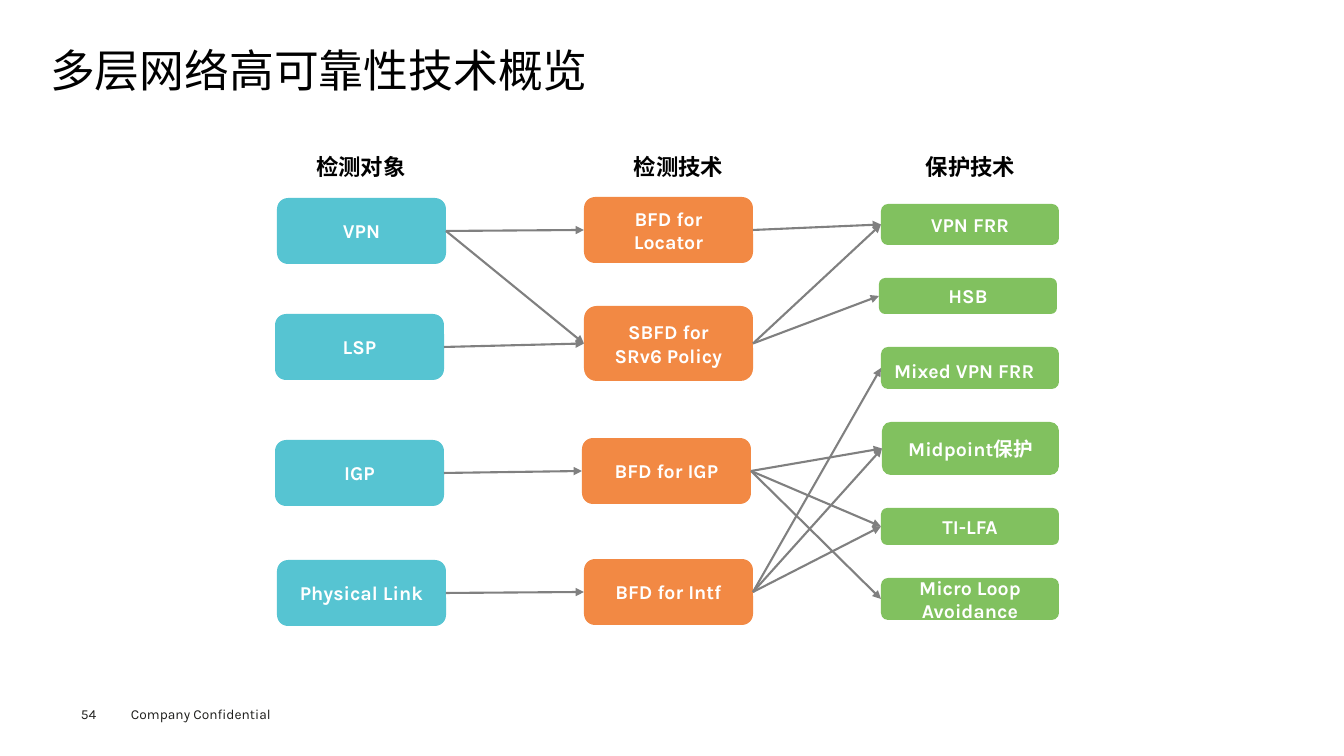
from dataclasses import dataclass

from lxml.etree import SubElement
from pptx import Presentation
from pptx.dml.color import RGBColor
from pptx.enum.shapes import MSO_CONNECTOR, MSO_SHAPE
from pptx.enum.text import MSO_ANCHOR, MSO_AUTO_SIZE, PP_ALIGN
from pptx.oxml.ns import qn
from pptx.util import Pt

# Content
TITLE = "多层网络高可靠性技术概览"
PAGE_NUMBER = "54"
CONFIDENTIALITY = "Company Confidential"

# Column headings: text, left, width
HEADINGS = [("检测对象", 305, 112), ("检测技术", 582, 193), ("保护技术", 898, 145)]

# Boxes of each column: text, (left, top, width, height)
TARGETS = [
    ("VPN", (277, 198, 169, 66)),
    ("LSP", (275, 314, 169, 66)),
    ("IGP", (275, 440, 169, 66)),
    ("Physical Link", (277, 560, 169, 66)),
]
DETECTIONS = [
    ("BFD for Locator", (584, 197, 169, 66)),
    ("SBFD for\nSRv6 Policy", (584, 306, 169, 75)),
    ("BFD for IGP", (582, 438, 169, 66)),
    ("BFD for Intf", (584, 559, 169, 66)),
]
PROTECTIONS = [
    ("VPN FRR", (881, 204, 178, 41)),
    ("HSB", (879, 278, 178, 36)),
    ("Mixed VPN FRR", (881, 347, 178, 42)),
    ("Midpoint保护", (882, 422, 177, 53)),
    ("TI-LFA", (881, 508, 178, 37)),
    ("Micro Loop\nAvoidance", (881, 578, 178, 42)),
]
LEFT_ALIGNED = {"Mixed VPN FRR": dict(align=PP_ALIGN.LEFT, spacing=1.2)}

# Arrows: row in one column -> rows in the next
TARGET_LINKS = {0: [0, 1], 1: [1], 2: [2], 3: [3]}
DETECTION_LINKS = {0: [0], 1: [0, 1], 2: [3, 4, 5], 3: [2, 3, 4]}


@dataclass(frozen=True)
class Theme:
    font: str = "Karla"
    black: str = "000000"
    white: str = "FFFFFF"
    footer: str = "1D1D1B"
    target: str = "56C4D2"
    detection: str = "F28944"
    protection: str = "81C15F"
    arrow: str = "808080"
    title_size: float = 32
    heading_size: float = 16
    box_size: float = 14
    footer_size: float = 9.8
    arrow_width: float = 1.5


THEME = Theme()
PX = 914400 / 100.8
LEFT_SIDE, RIGHT_SIDE = 1, 3


def px(*lengths):
    return [round(length * PX) for length in lengths]


def write(frame, text, *, size, color, bold=False, align=PP_ALIGN.LEFT,
          anchor=MSO_ANCHOR.TOP, spacing=None, insets=(10, 5), wrap=True):
    frame.text = text
    frame.word_wrap = wrap
    frame.auto_size = MSO_AUTO_SIZE.NONE
    frame.vertical_anchor = anchor
    frame.margin_left = frame.margin_right = px(insets[0])[0]
    frame.margin_top = frame.margin_bottom = px(insets[1])[0]
    for paragraph in frame.paragraphs:
        paragraph.alignment = align
        paragraph.line_spacing = spacing
        for run in paragraph.runs:
            run.font.name = THEME.font
            run.font.size = Pt(size)
            run.font.bold = bold
            run.font.color.rgb = RGBColor.from_string(color)


def add_label(slide, text, place, **style):
    label = slide.shapes.add_textbox(*px(*place))
    write(label.text_frame, text, **style)


def add_column(slide, entries, fill):
    column = []
    for text, place in entries:
        box = slide.shapes.add_shape(MSO_SHAPE.ROUNDED_RECTANGLE, *px(*place))
        box.shadow.inherit = False
        box.fill.solid()
        box.fill.fore_color.rgb = RGBColor.from_string(fill)
        box.line.fill.background()
        style = dict(align=PP_ALIGN.CENTER) | LEFT_ALIGNED.get(text, {})
        write(box.text_frame, text, size=THEME.box_size, color=THEME.white,
              bold=True, anchor=MSO_ANCHOR.MIDDLE, insets=(11, 5), **style)
        column.append(box)
    return column


def add_arrows(slide, sources, ends, links):
    for source, rows in links.items():
        for row in rows:
            arrow = slide.shapes.add_connector(MSO_CONNECTOR.STRAIGHT, 0, 0, 0, 0)
            arrow.begin_connect(sources[source], RIGHT_SIDE)
            arrow.end_connect(ends[row], LEFT_SIDE)
            arrow.line.color.rgb = RGBColor.from_string(THEME.arrow)
            arrow.line.width = Pt(THEME.arrow_width)
            SubElement(arrow.line._get_or_add_ln(), qn("a:tailEnd"), type="triangle")
            SubElement(arrow._element.spPr, qn("a:effectLst"))


def main():
    deck = Presentation()
    deck.slide_width, deck.slide_height = px(1344, 756)
    slide = deck.slides.add_slide(deck.slide_layouts[5])

    # Title
    title = slide.shapes.title
    title.left, title.top, title.width, title.height = px(50, 49, 1245, 53)
    write(title.text_frame, TITLE, size=THEME.title_size, color=THEME.black,
          spacing=0.9, insets=(0, 0))

    # Column headings
    for heading, left, width in HEADINGS:
        add_label(slide, heading, (left, 148, width, 37), size=THEME.heading_size,
                  color=THEME.black, bold=True, align=PP_ALIGN.CENTER)

    # Boxes and the arrows between columns
    targets = add_column(slide, TARGETS, THEME.target)
    detections = add_column(slide, DETECTIONS, THEME.detection)
    protections = add_column(slide, PROTECTIONS, THEME.protection)
    add_arrows(slide, targets, detections, TARGET_LINKS)
    add_arrows(slide, detections, protections, DETECTION_LINKS)

    # Footer
    footer = dict(size=THEME.footer_size, color=THEME.footer)
    add_label(slide, PAGE_NUMBER, (81, 706, 55, 16), insets=(0, 0), **footer)
    add_label(slide, CONFIDENTIALITY, (121, 701, 161, 27), **footer)

    deck.save("out.pptx")


if __name__ == "__main__":
    main()
